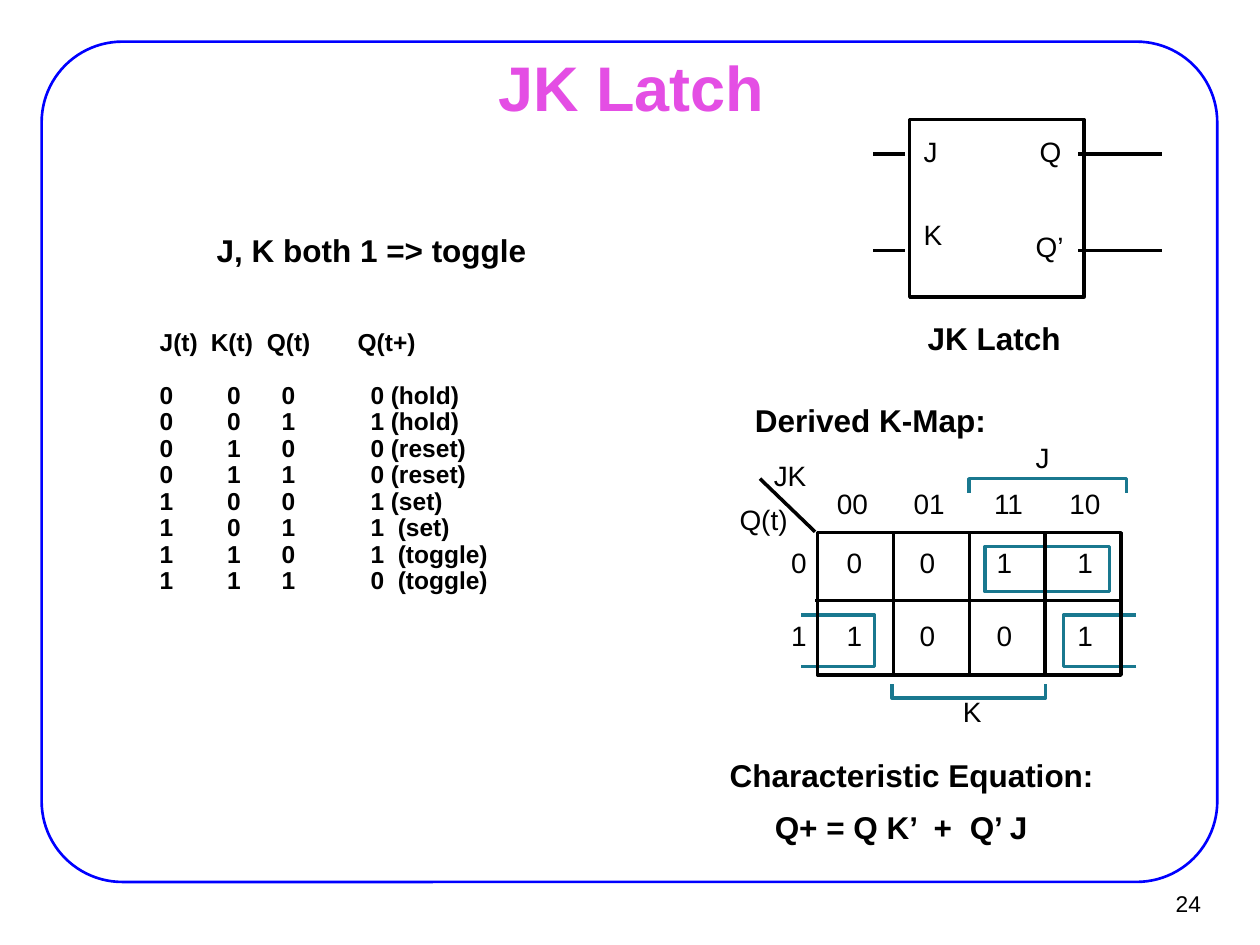
from lxml import etree
from pptx import Presentation
from pptx.dml.color import RGBColor
from pptx.enum.shapes import MSO_CONNECTOR, MSO_SHAPE
from pptx.enum.text import MSO_ANCHOR, MSO_AUTO_SIZE, PP_ALIGN
from pptx.oxml.ns import qn
from pptx.util import Cm, Pt

RECTANGLE = MSO_SHAPE.RECTANGLE
ROUNDED = MSO_SHAPE.ROUNDED_RECTANGLE
STRAIGHT = MSO_CONNECTOR.STRAIGHT
MIDDLE = MSO_ANCHOR.MIDDLE
FIT_SHAPE = MSO_AUTO_SIZE.SHAPE_TO_FIT_TEXT
CENTER = PP_ALIGN.CENTER
RIGHT = PP_ALIGN.RIGHT

BLACK = "000000"
BLUE = "0000FF"
PINK = "E44EE4"
TEAL = "19788F"

LABEL = {
    "frame": {"margin_left": 0, "margin_right": 0, "margin_top": 0,
              "margin_bottom": 0, "word_wrap": False, "auto_size": FIT_SHAPE},
    "paragraph": {},
    "font": {"name": "Arial", "size": Pt(16), "bold": False},
}
PIN = {**LABEL, "paragraph": {"line_spacing": 0.9}}
CAPTION = {
    "frame": {"margin_left": Cm(0.18), "margin_right": Cm(0.18), "margin_top": Cm(0.08),
              "margin_bottom": Cm(0.08), "word_wrap": True, "auto_size": FIT_SHAPE},
    "paragraph": {"line_spacing": 0.85},
    "font": {"name": "Arial", "size": Pt(18), "bold": True},
}
TRUTH = {
    "frame": {"margin_left": Cm(0.25), "margin_right": Cm(0.25), "margin_top": Cm(0.13),
              "margin_bottom": Cm(0.13), "word_wrap": True, "auto_size": FIT_SHAPE},
    "paragraph": {"line_spacing": 0.9},
    "font": {"name": "Arial", "size": Pt(14), "bold": True},
}
TITLE = {
    "frame": {"vertical_anchor": MIDDLE, "word_wrap": True},
    "paragraph": {"alignment": CENTER},
    "font": {"name": "Arial", "size": Pt(36), "bold": True},
}
PAGE = {
    "frame": {"vertical_anchor": MIDDLE, "word_wrap": False},
    "paragraph": {"alignment": RIGHT},
    "font": {"name": "Arial", "size": Pt(13), "bold": False},
}

deck = Presentation()
deck.slide_width, deck.slide_height = Cm(25.4), Cm(19.05)
slide = deck.slides.add_slide(deck.slide_layouts[6])
shapes = slide.shapes


def add_text(lines, left, top, width, height, style, color=BLACK):
    frame = shapes.add_textbox(Cm(left), Cm(top), Cm(width), Cm(height)).text_frame
    for name, value in style["frame"].items():
        setattr(frame, name, value)
    for index, (words, tabs) in enumerate(lines):
        paragraph = frame.add_paragraph() if index else frame.paragraphs[0]
        run = paragraph.add_run()
        run.text = words
        run.font.color.rgb = RGBColor.from_string(color)
        for target, part in ((paragraph, "paragraph"), (run.font, "font")):
            for name, value in style[part].items():
                setattr(target, name, value)
        if tabs:
            stops = etree.SubElement(paragraph._p.get_or_add_pPr(), qn("a:tabLst"))
            for position in tabs:
                etree.SubElement(stops, qn("a:tab"), pos=str(Cm(position)), algn="l")
    return frame


def outline(part, color, width=2):
    part.line.color.rgb = RGBColor.from_string(color)
    part.line.width = Pt(width)


border = shapes.add_shape(ROUNDED, Cm(0.84), Cm(0.84), Cm(23.7), Cm(16.94))
border.adjustments[0] = 0.096
outline(border, BLUE, 1.5)
latch = shapes.add_shape(RECTANGLE, Cm(18.34), Cm(2.41), Cm(3.51), Cm(3.58))
outline(latch, BLACK)
top_group = shapes.add_shape(RECTANGLE, Cm(19.86), Cm(11.02), Cm(2.51), Cm(0.91))
outline(top_group, TEAL)

brackets = [
    [(22.91, 13.44), (21.44, 13.44), (21.44, 12.4), (22.91, 12.4)],
    [(16.15, 13.44), (17.63, 13.44), (17.63, 12.4), (16.15, 12.4)],
    [(21.08, 13.79), (21.08, 14.07), (17.98, 14.07), (17.98, 13.79)],
    [(19.53, 9.93), (19.53, 9.65), (22.71, 9.65), (22.71, 9.93)],
]
hollow = [border, latch, top_group]
for corners in brackets:
    points = [(Cm(x), Cm(y)) for x, y in corners]
    builder = shapes.build_freeform(*points[0])
    builder.add_line_segments(points[1:], close=False)
    bracket = builder.convert_to_shape()
    outline(bracket, TEAL)
    hollow.append(bracket)

map_left, map_top, cell_width, map_height = 16.48, 10.74, 1.53, 2.87
kmap = shapes.add_shape(RECTANGLE, Cm(map_left), Cm(map_top), Cm(4 * cell_width), Cm(map_height))
outline(kmap, BLACK)
hollow.append(kmap)
for part in hollow:
    part.fill.background()
    part.shadow.inherit = False

wires = [(left, y, right, y) for y in (3.1, 5.05) for left, right in ((17.6, 18.24), (21.74, 23.42))]
dividers = [(map_left + cell_width * column, map_top, map_left + cell_width * column, map_top + map_height)
            for column in (2, 1, 3)]
map_rules = [(16.43, 12.11, 22.63, 12.11), (16.43, 10.72, 15.32, 9.65)]
connectors = []
for ends in dividers + wires + map_rules:
    connector = shapes.add_connector(STRAIGHT, *[Cm(value) for value in ends])
    outline(connector, BLACK)
    etree.SubElement(connector._element.spPr, qn("a:effectLst"))
    connectors.append(connector)
connectors[0].begin_connect(kmap, 0)
connectors[0].end_connect(kmap, 2)

add_text([("JK Latch", [])], 1.93, 1.12, 21.59, 1.24, TITLE, PINK)
add_text([("24", [])], 22.91, 17.75, 1.55, 0.94, PAGE)

for words, left, top, width, tabs in [
    ("J, K both 1 => toggle", 4.19, 4.7, 8, []),
    ("JK Latch", 18.52, 6.47, 4.2, []),
    ("Derived K-Map:", 15.04, 8.13, 6, []),
    ("Characteristic Equation:", 14.53, 15.28, 9, []),
    ("Q+ = Q K’\t+\tQ’ J", 15.44, 16.33, 6.5, [3.2, 3.93]),
]:
    add_text([(words, tabs)], left, top, width, 0.79, CAPTION)

header_tabs = [1.03, 2.16, 3.99]
hold_tabs = [1.36, 2.46, 4.25, 4.66]
toggle_tabs = [1.36, 2.46, 4.25, 4.8]
truth_lines = [("J(t)\tK(t)\tQ(t)\tQ(t+)", header_tabs)]
outcomes = ["0 hold", "1 hold", "0 reset", "0 reset", "1 set", "1 set", "1 toggle", "0 toggle"]
for state, outcome in enumerate(outcomes):
    result, action = outcome.split()
    inputs = "\t".join(f"{state:03b}")
    truth_lines.append((f"{inputs}\t{result}\t({action})", hold_tabs if state < 5 else toggle_tabs))
truth = add_text(truth_lines, 2.97, 6.53, 8.26, 5.59, TRUTH)
truth.paragraphs[1].space_before = Cm(0.53)

for words, left, top, width in [
    ("J", 18.62, 2.79, 0.43),
    ("K", 18.62, 4.47, 0.53),
    ("Q", 20.96, 2.79, 0.58),
    ("Q’", 20.88, 4.7, 0.71),
]:
    add_text([(words, [])], left, top, width, 0.61, PIN)

map_labels = [
    ("J", 20.88, 8.89, 0.43),
    ("K", 19.41, 14, 0.53),
    ("JK", 15.6, 9.25, 0.81),
    ("Q(t)", 14.91, 10.13, 1.04),
]
map_labels += [(code, left, 9.8, 0.79)
               for code, left in zip(("00", "01", "11", "10"), (16.87, 18.42, 20.04, 21.56))]
digit_lefts = (15.95, 17.07, 18.54, 20.09, 21.72)
for top, digits in ((11, "00011"), (12.47, "11001")):
    map_labels += [(digit, left, top, 0.48) for digit, left in zip(digits, digit_lefts)]
for words, left, top, width in map_labels:
    add_text([(words, [])], left, top, width, 0.69, LABEL)

deck.save("out.pptx")
